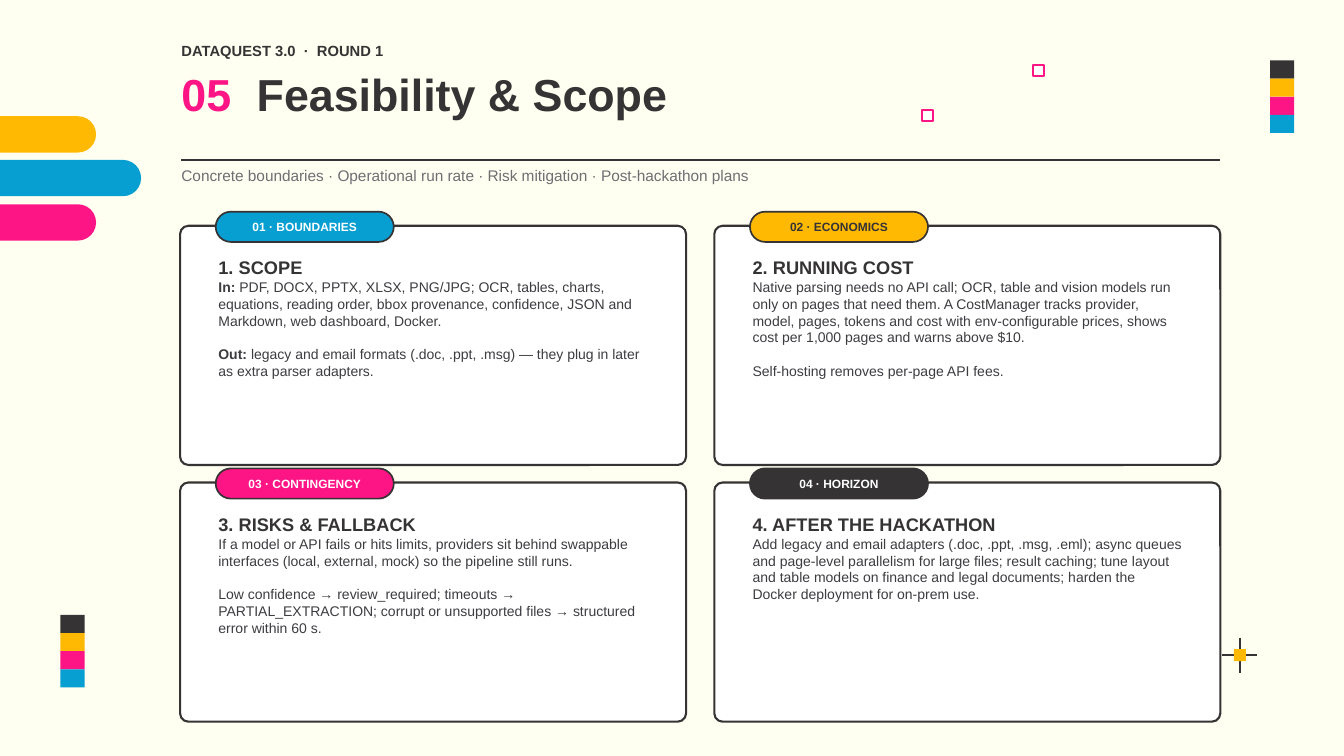
from lxml import etree
from pptx import Presentation
from pptx.dml.color import RGBColor
from pptx.enum.shapes import MSO_CONNECTOR, MSO_SHAPE
from pptx.enum.text import MSO_ANCHOR, MSO_AUTO_SIZE, PP_ALIGN
from pptx.oxml.ns import qn
from pptx.util import Inches, Pt

RECT = MSO_SHAPE.RECTANGLE
ROUND = MSO_SHAPE.ROUNDED_RECTANGLE
LINE = MSO_CONNECTOR.STRAIGHT
TOP, MID = MSO_ANCHOR.TOP, MSO_ANCHOR.MIDDLE
LEFT, CENTER = PP_ALIGN.LEFT, PP_ALIGN.CENTER
FIXED = MSO_AUTO_SIZE.NONE

HUES = {"cream": "FFFFF1", "white": "FFFFFF", "ink": "353334", "gold": "FFB903",
        "pink": "FD1485", "blue": "079ED2", "gray": "6E6E73", "body": "3C3C41"}

# Size in points, line pitch in points, weight, colour
STYLES = {
    "event": (15.8, 18.9, True, "ink"),
    "title": (48, 57.6, True, "ink"),
    "sub": (16.5, 19.8, False, "gray"),
    "pill": (12.8, 15.3, True, "white"),
    "head": (19.5, 23.4, True, "ink"),
    "body": (15, 18, False, "body"),
}

# Pill label, pill fill, pill text colour, heading, paragraphs of (lead, text)
CARDS = [
    ("01 · BOUNDARIES", "blue", "white", "1. SCOPE", [
        ("In: ", "PDF, DOCX, PPTX, XLSX, PNG/JPG; OCR, tables, charts, equations, "
         "reading order, bbox provenance, confidence, JSON and Markdown, "
         "web dashboard, Docker."),
        ("Out: ", "legacy and email formats (.doc, .ppt, .msg) — they plug in later "
         "as extra parser adapters.")]),
    ("02 · ECONOMICS", "gold", "ink", "2. RUNNING COST", [
        ("", "Native parsing needs no API call; OCR, table and vision models run only "
         "on pages that need them. A CostManager tracks provider, model, pages, tokens "
         "and cost with env-configurable prices, shows cost per 1,000 pages and warns "
         "above $10."),
        ("", "Self-hosting removes per-page API fees.")]),
    ("03 · CONTINGENCY", "pink", "white", "3. RISKS & FALLBACK", [
        ("", "If a model or API fails or hits limits, providers sit behind swappable "
         "interfaces (local, external, mock) so the pipeline still runs."),
        ("", "Low confidence → review_required; timeouts → PARTIAL_EXTRACTION; corrupt "
         "or unsupported files → structured error within 60 s.")]),
    ("04 · HORIZON", "ink", "white", "4. AFTER THE HACKATHON", [
        ("", "Add legacy and email adapters (.doc, .ppt, .msg, .eml); async queues and "
         "page-level parallelism for large files; result caching; tune layout and table "
         "models on finance and legal documents; harden the Docker deployment for "
         "on-prem use.")]),
]


def rgb(hue):
    return RGBColor.from_string(HUES[hue])


def add_box(slide, kind, x, y, w, h, fill, line=None, width=0, curve=None):
    box = slide.shapes.add_shape(kind, Inches(x), Inches(y), Inches(w), Inches(h))
    box.shadow.inherit = False
    box.fill.solid()
    box.fill.fore_color.rgb = rgb(fill)
    if line:
        box.line.color.rgb = rgb(line)
        box.line.width = Pt(width)
    else:
        box.line.fill.background()
    if curve is not None:
        box.adjustments[0] = curve
    return box


def add_line(slide, x1, y1, x2, y2):
    line = slide.shapes.add_connector(LINE, Inches(x1), Inches(y1), Inches(x2), Inches(y2))
    line.line.color.rgb = rgb("ink")
    line.line.width = Pt(2.25)
    etree.SubElement(line._element.spPr, qn("a:effectLst"))


def set_frame(frame, inset=0, anchor=TOP):
    values = {"word_wrap": True, "auto_size": FIXED, "vertical_anchor": anchor,
              "margin_left": Inches(inset), "margin_right": Inches(inset),
              "margin_top": Inches(inset), "margin_bottom": Inches(inset)}
    for key, value in values.items():
        setattr(frame, key, value)


def add_text(slide, x, y, w, h):
    frame = slide.shapes.add_textbox(Inches(x), Inches(y), Inches(w), Inches(h)).text_frame
    set_frame(frame)
    return frame


def fill_para(para, style, runs, align=LEFT):
    """Write runs of (text, changes to the style) into a paragraph."""
    size, pitch, bold, hue = STYLES[style]
    para.alignment = align
    para.line_spacing = Pt(pitch)
    for text, change in runs:
        look = {"name": "Arial", "size": Pt(size), "bold": bold, "hue": hue} | change
        run = para.add_run()
        run.text = text
        run.font.color.rgb = rgb(look.pop("hue"))
        for key, value in look.items():
            setattr(run.font, key, value)


def add_tab(para, pos):
    tabs = etree.SubElement(para._p.get_or_add_pPr(), qn("a:tabLst"))
    etree.SubElement(tabs, qn("a:tab"), pos=str(Inches(pos)), algn="l")


def add_head(slide):
    fill_para(add_text(slide, 2.7, 0.62, 13.5, 0.46).paragraphs[0], "event",
              [("DATAQUEST 3.0  ·  ROUND 1", {})])
    title = slide.shapes.title
    title.left, title.top = Inches(2.7), Inches(1)
    title.width, title.height = Inches(15), Inches(1.3)
    set_frame(title.text_frame)
    para = title.text_frame.paragraphs[0]
    add_tab(para, 1.12)
    fill_para(para, "title", [("05\t", {"hue": "pink"}), ("Feasibility & Scope", {})])
    add_line(slide, 2.7, 2.38, 18.15, 2.38)
    fill_para(add_text(slide, 2.7, 2.47, 15.45, 0.55).paragraphs[0], "sub",
              [("Concrete boundaries · Operational run rate · Risk mitigation · "
                "Post-hackathon plans", {})])


def add_decor(slide):
    # Bars that bleed off the left edge
    for y, w, hue in [(1.73, 1.73, "gold"), (2.38, 2.4, "blue"), (3.04, 1.73, "pink")]:
        add_box(slide, ROUND, -0.3, y, w, 0.54, hue, curve=0.5)
    # Colour strips
    for x, y in [(18.9, 0.9), (0.9, 9.15)]:
        for i, hue in enumerate(["ink", "gold", "pink", "blue"]):
            add_box(slide, RECT, x, y + i * 0.27, 0.36, 0.27, hue)
    # Cross mark
    add_line(slide, 18.19, 9.75, 18.71, 9.75)
    add_line(slide, 18.45, 9.49, 18.45, 10.01)
    add_box(slide, RECT, 18.36, 9.66, 0.18, 0.18, "gold")
    # Small open squares
    for x, y in [(13.72, 1.64), (15.37, 0.97)]:
        add_box(slide, RECT, x, y, 0.16, 0.16, "white", "pink", 2.1)


def add_card(slide, x, y, label, fill, hue, head, paras):
    add_box(slide, ROUND, x, y, 7.53, 3.56, "white", "ink", 2.25, 0.035)
    pill = add_box(slide, ROUND, x + 0.53, y - 0.21, 2.65, 0.45, fill, "ink", 1.8, 0.5)
    set_frame(pill.text_frame, 0.06, MID)
    fill_para(pill.text_frame.paragraphs[0], "pill", [(label, {"hue": hue})], CENTER)
    frame = add_text(slide, x + 0.57, y + 0.46, 6.4, 2.77)
    fill_para(frame.paragraphs[0], "head", [(head, {})])
    for i, (lead, text) in enumerate(paras):
        para = frame.add_paragraph()
        para.space_before = Pt(18 if i else 0)
        runs = [(lead, {"bold": True})] if lead else []
        fill_para(para, "body", runs + [(text, {})])


def main():
    deck = Presentation()
    deck.slide_width, deck.slide_height = Inches(20), Inches(11.25)
    slide = deck.slides.add_slide(deck.slide_layouts[5])
    slide.background.fill.solid()
    slide.background.fill.fore_color.rgb = rgb("cream")
    add_decor(slide)
    add_head(slide)
    # Two by two grid of cards
    for i, card in enumerate(CARDS):
        row, col = divmod(i, 2)
        add_card(slide, 2.68 + col * 7.95, 3.36 + row * 3.82, *card)
    deck.save("out.pptx")


if __name__ == "__main__":
    main()
